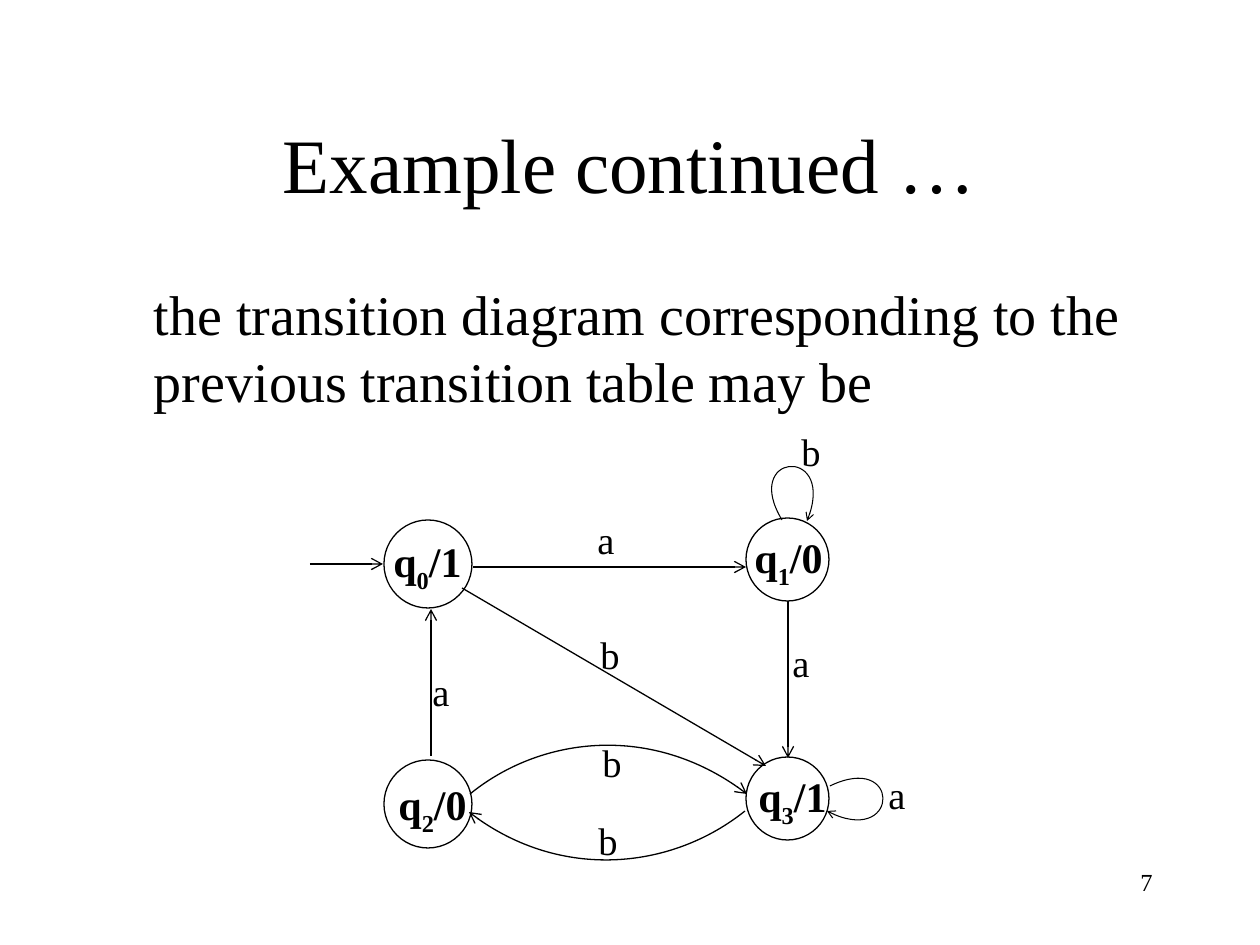
"""Build a slide with the transition diagram of a four-state Moore machine."""
import pptx
import pptx.util
import pptx.dml.color
import pptx.enum.shapes
import pptx.enum.text
import lxml.etree

PX = 914400 / 126
ALIGN = pptx.enum.text.PP_ALIGN
THEME = {
    "font": "Times New Roman",
    "ink": pptx.dml.color.RGBColor(0, 0, 0),
    "paper": pptx.dml.color.RGBColor(255, 255, 255),
    "title": 44, "body": 32, "state": 24, "label": 22, "page": 14,
    "line": 0.75, "loop": 0.6,
}


def write(box, parts, size, align=ALIGN.LEFT, bold=False):
    area = slide.shapes.add_textbox(*[round(n * PX) for n in box])
    frame = area.text_frame
    frame.word_wrap = True
    para = frame.paragraphs[0]
    para.alignment = align
    for part in parts:
        run = para.add_run()
        run.text = part
        run.font.name = THEME["font"]
        run.font.size = pptx.util.Pt(THEME[size])
        run.font.color.rgb = THEME["ink"]
        run.font.bold = bold
    return frame


def ink(shape, width="line", head=None):
    shape.line.color.rgb = THEME["ink"]
    shape.line.width = pptx.util.Pt(THEME[width])
    if head:
        tail = lxml.etree.SubElement(shape.line._get_or_add_ln(), pptx.oxml.ns.qn("a:tailEnd"))
        for key, val in (("type", "arrow"), ("w", head), ("len", head)):
            tail.set(key, val)


deck = pptx.Presentation()
deck.slide_width = round(1260 * PX)
deck.slide_height = round(945 * PX)
slide = deck.slides.add_slide(deck.slide_layouts[6])

title = write((94, 84, 1071, 158), ["Example continued …"], "title", ALIGN.CENTER)
title.vertical_anchor = pptx.enum.text.MSO_ANCHOR.MIDDLE
body = write((94, 273, 1071, 567),
             ["the transition diagram corresponding to the previous transition table may be"], "body")
body.margin_left = round(60 * PX)
body.paragraphs[0].space_before = pptx.util.Pt(8)
write((903, 861, 262, 63), ["7"], "page", ALIGN.RIGHT)

states = [
    ("0", "/1", 384, 520, 88, 381, 529),
    ("1", "/0", 746, 518, 83, 742, 525),
    ("2", "/0", 384, 760, 88, 386, 772),
    ("3", "/1", 746, 757, 83, 746, 764),
]
for sub, out, left, top, size, x, y in states:
    ring = slide.shapes.add_shape(
        pptx.enum.shapes.MSO_SHAPE.OVAL, *[round(n * PX) for n in (left, top, size, size)])
    ring.shadow.inherit = False
    ring.fill.solid()
    ring.fill.fore_color.rgb = THEME["paper"]
    ink(ring)
    name = write((x, y, 121, 57), ["q", sub, out], "state", bold=True)
    name.paragraphs[0].runs[1].font._element.set("baseline", "-30000")

curves = [
    ([(745, 811), (674, 868), (559, 882), (469, 812)], "line", "med"),
    ([(470, 794), (540, 737), (655, 723), (747, 794)], "line", "med"),
    ([(830, 786), (900, 752), (900, 849), (827, 811)], "loop", "sm"),
    ([(782, 520), (742, 454), (838, 445), (807, 521)], "loop", "sm"),
]
for points, width, head in curves:
    build = slide.shapes.build_freeform(*points[0], scale=PX)
    build.add_line_segments(points[1:], close=False)
    curve = build.convert_to_shape()
    curve.shadow.inherit = False
    curve.fill.background()
    ink(curve, width, head)
    legs = curve._element.findall(".//" + pptx.oxml.ns.qn("a:lnTo"))
    route = legs[0].getparent()
    bend = lxml.etree.SubElement(route, pptx.oxml.ns.qn("a:cubicBezTo"))
    for leg in legs:
        bend.append(leg[0])
        route.remove(leg)

arrows = [
    (310, 564, 383, 564),
    (473, 567, 746, 567),
    (788, 601, 788, 758),
    (431, 756, 431, 609),
    (462, 588, 766, 766),
]
for ends in arrows:
    arrow = slide.shapes.add_connector(
        pptx.enum.shapes.MSO_CONNECTOR.STRAIGHT, *[round(n * PX) for n in ends])
    ink(arrow, head="med")
    lxml.etree.SubElement(arrow._element.spPr, pptx.oxml.ns.qn("a:effectLst"))

labels = [
    ("a", 585, 510), ("b", 588, 625), ("a", 780, 633), ("a", 420, 662),
    ("b", 590, 733), ("b", 586, 811), ("b", 789, 422), ("a", 876, 765),
]
for text, x, y in labels:
    write((x, y, 127, 52), [text], "label")

deck.save("out.pptx")
